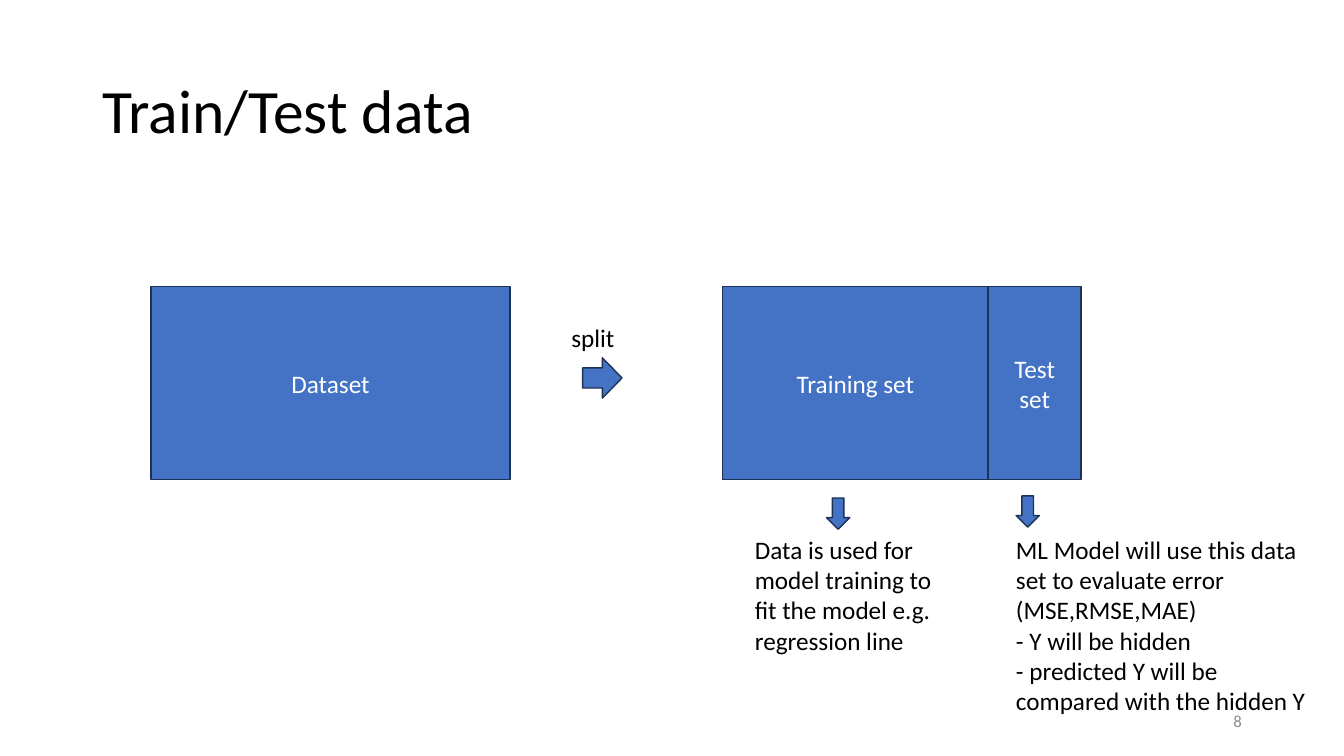
"""Build the slide that shows a dataset split into training and test sets."""
import pptx
import pptx.util
import pptx.dml.color
import pptx.enum.shapes
import pptx.enum.text
from dataclasses import dataclass

Pt = pptx.util.Pt
RGBColor = pptx.dml.color.RGBColor
Shape = pptx.enum.shapes.MSO_SHAPE
Align = pptx.enum.text.PP_ALIGN
Anchor = pptx.enum.text.MSO_ANCHOR


@dataclass(frozen=True)
class Theme:
    font: str = "Calibri"
    fill: RGBColor = RGBColor(0x44, 0x72, 0xC4)
    outline: RGBColor = RGBColor(0x1E, 0x32, 0x56)
    dark: RGBColor = RGBColor(0, 0, 0)
    light: RGBColor = RGBColor(255, 255, 255)
    muted: RGBColor = RGBColor(0x8C, 0x8C, 0x8C)
    title_size: int = 44
    body_size: int = 18
    number_size: int = 12


theme = Theme()


def write_text(shape, lines, size, color, frame_format, paragraph_format):
    frame = shape.text_frame
    frame.text = "\n".join(lines)
    for name, value in frame_format.items():
        setattr(frame, name, value)
    font_format = {"name": theme.font, "size": Pt(size)}
    for paragraph in frame.paragraphs:
        for name, value in paragraph_format.items():
            setattr(paragraph, name, value)
        for run in paragraph.runs:
            for name, value in font_format.items():
                setattr(run.font, name, value)
            run.font.color.rgb = color


def add_block(kind, left, top, width, height):
    shape = slide.shapes.add_shape(kind, Pt(left), Pt(top), Pt(width), Pt(height))
    shape.shadow.inherit = False
    shape.fill.solid()
    shape.fill.fore_color.rgb = theme.fill
    shape.line.color.rgb = theme.outline
    shape.line.width = Pt(1)
    return shape


presentation = pptx.Presentation()
presentation.slide_width = Pt(960)
presentation.slide_height = Pt(540)
slide = presentation.slides.add_slide(presentation.slide_layouts[6])

middle = {"word_wrap": True, "vertical_anchor": Anchor.MIDDLE}
wrapped = {"word_wrap": True, "vertical_anchor": Anchor.TOP}
unwrapped = {"word_wrap": False, "vertical_anchor": Anchor.TOP}
left_aligned = {"alignment": Align.LEFT}
centered = {"alignment": Align.CENTER}

set_top, set_height = 204.5, 138.2
for label, left, width in [
    ("Dataset", 108, 256.3),
    ("Training set", 516.2, 189.7),
    ("Test set", 705.9, 66.4),
]:
    block = add_block(Shape.RECTANGLE, left, set_top, width, set_height)
    write_text(block, [label], theme.body_size, theme.light, middle, centered)

for kind, left, top, width, height in [
    (Shape.DOWN_ARROW, 590.4, 355.7, 16.6, 22.3),
    (Shape.DOWN_ARROW, 725.8, 354.2, 16.6, 22.3),
    (Shape.RIGHT_ARROW, 416.2, 255.6, 28.1, 28.8),
]:
    add_block(kind, left, top, width, height)

training_note = ["Data is used for model training to fit the model e.g. regression line"]
test_note = [
    "ML Model will use this data set to evaluate error (MSE,RMSE,MAE)",
    "- Y will be hidden",
    "- predicted Y will be compared with the hidden Y",
]
title_format = {"alignment": Align.LEFT, "line_spacing": 0.9}
number_format = {"alignment": Align.RIGHT}
for lines, box, size, color, frame_format, paragraph_format in [
    (["Train/Test data"], (66.2, 28.8, 828, 104.4), theme.title_size, theme.dark, middle, title_format),
    (["8"], (678.2, 500.4, 216, 28.8), theme.number_size, theme.muted, middle, number_format),
    (training_note, (532.1, 378, 157, 94.3), theme.body_size, theme.dark, wrapped, left_aligned),
    (test_note, (718.6, 378, 229, 138.2), theme.body_size, theme.dark, wrapped, left_aligned),
    (["split"], (401, 226.8, 45.4, 28.8), theme.body_size, theme.dark, unwrapped, left_aligned),
]:
    text_box = slide.shapes.add_textbox(*map(Pt, box))
    write_text(text_box, lines, size, color, frame_format, paragraph_format)

presentation.save("out.pptx")
